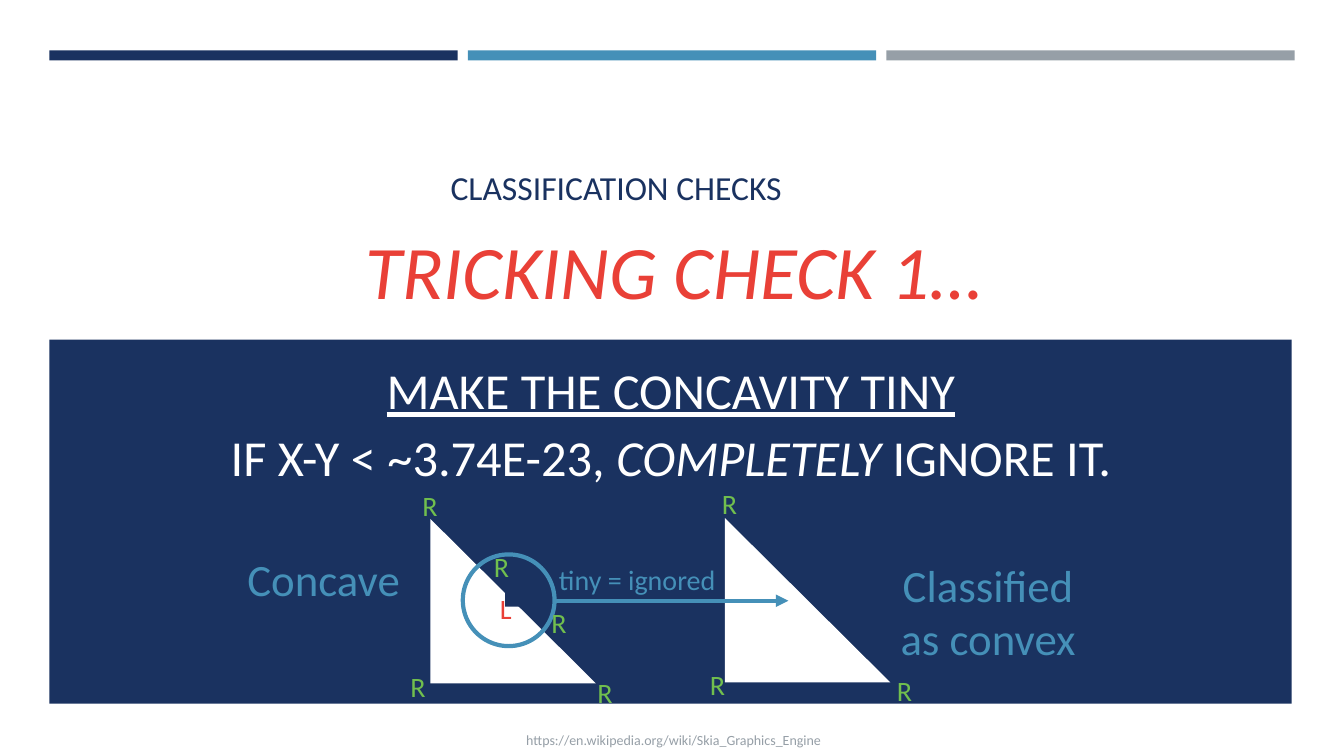
from dataclasses import dataclass

from lxml import etree
from pptx import Presentation
from pptx.dml.color import RGBColor
from pptx.enum import shapes, text
from pptx.oxml import ns
from pptx.util import Inches, Pt

NAVY, BLUE, GRAY = "1A3260", "4590B8", "969FA7"
RED, GREEN, WHITE = "E94037", "71BF4E", "FFFFFF"
SHAPE = shapes.MSO_SHAPE
ALIGN = text.PP_ALIGN
ANCHOR = text.MSO_ANCHOR


@dataclass
class Span:
    words: str
    italic: bool = False
    underline: bool = False


@dataclass
class Label:
    left: float
    top: float
    width: float
    height: float
    spans: list[Span]
    size: int
    color: str
    align: ALIGN = ALIGN.CENTER
    anchor: ANCHOR = ANCHOR.TOP


@dataclass
class Block:
    left: float
    top: float
    width: float
    height: float
    color: str
    kind: SHAPE = SHAPE.RECTANGLE


@dataclass
class Vertex:
    left: float
    top: float
    width: float
    letter: str = "R"
    color: str = GREEN


def rgb(value: str) -> RGBColor:
    return RGBColor.from_string(value)


def draw_block(page, block: Block) -> None:
    shape = page.shapes.add_shape(
        block.kind, Inches(block.left), Inches(block.top), Inches(block.width), Inches(block.height))
    shape.shadow.inherit = False
    if block.kind == SHAPE.ISOSCELES_TRIANGLE:
        shape.adjustments[0] = 0
    if block.kind == SHAPE.OVAL:
        shape.fill.background()
        shape.line.color.rgb = rgb(block.color)
        shape.line.width = Pt(3)
    else:
        shape.fill.solid()
        shape.fill.fore_color.rgb = rgb(block.color)
        shape.line.fill.background()


def draw_label(page, label: Label) -> None:
    box = page.shapes.add_textbox(
        Inches(label.left), Inches(label.top), Inches(label.width), Inches(label.height))
    frame = box.text_frame
    frame.word_wrap = True
    frame.vertical_anchor = label.anchor
    para = frame.paragraphs[0]
    para.alignment = label.align
    para.font.name = "Calibri"
    para.font.size = Pt(label.size)
    para.font.color.rgb = rgb(label.color)
    for part in label.spans:
        span = para.add_run()
        span.text = part.words
        if part.italic:
            span.font.italic = True
        if part.underline:
            span.font.underline = True


def draw_vertex(page, vertex: Vertex) -> None:
    draw_label(page, Label(vertex.left, vertex.top, vertex.width, 0.44,
                           [Span(vertex.letter)], 20, vertex.color))


def draw_arrow(page, start: float, end: float, height: float) -> None:
    arrow = page.shapes.add_connector(
        shapes.MSO_CONNECTOR.STRAIGHT, Inches(start), Inches(height), Inches(end), Inches(height))
    arrow.line.color.rgb = rgb(BLUE)
    arrow.line.width = Pt(3)
    etree.SubElement(arrow.line._get_or_add_ln(), ns.qn("a:tailEnd"), type="triangle")
    etree.SubElement(arrow._element.spPr, ns.qn("a:effectLst"))


BLOCKS = [Block(0.49 + 4.15 * i, 0.5, 4.05, 0.1, color)
          for i, color in enumerate((NAVY, BLUE, GRAY))]
BLOCKS += [
    Block(0.49, 3.37, 12.32, 3.61, NAVY),
    Block(4.27, 5.15, 1.64, 1.63, WHITE, SHAPE.ISOSCELES_TRIANGLE),
    Block(5.01, 5.86, 0.16, 0.16, NAVY, SHAPE.ISOSCELES_TRIANGLE),
    Block(7.19, 5.14, 1.64, 1.63, WHITE, SHAPE.ISOSCELES_TRIANGLE),
    Block(4.59, 5.5, 0.91, 0.91, BLUE, SHAPE.OVAL),
]

VERTICES = [
    Vertex(4.8, 5.4, 0.23),
    Vertex(4.86, 5.82, 0.23, "L", RED),
    Vertex(5.37, 5.96, 0.23),
]
for shift, drop in ((0, 0), (2.97, -0.02)):
    VERTICES += [
        Vertex(3.81 + shift, 4.8 + drop, 0.91),
        Vertex(3.69 + shift, 6.59 + drop, 0.91),
        Vertex(5.44 + shift, 6.65 + drop, 1.12),
    ]

LABELS = [
    Label(4.37, 1.08, 7.07, 1.02, [Span("CLASSIFICATION CHECKS")], 24, NAVY,
          ALIGN.LEFT, ANCHOR.BOTTOM),
    Label(2.32, 1.52, 8.74, 1.65, [Span("TRICKING CHECK 1…", italic=True)], 54, RED,
          anchor=ANCHOR.BOTTOM),
    Label(0.52, 3.51, 12.27, 0.67, [Span("MAKE THE CONCAVITY TINY", underline=True)], 36, WHITE),
    Label(0.52, 4.18, 12.27, 0.67,
          [Span("IF X-Y < ~3.74E-23, "), Span("COMPLETELY ", italic=True), Span("IGNORE IT.")],
          36, WHITE),
    Label(2.05, 5.42, 2.32, 0.64, [Span("Concave")], 32, BLUE),
    Label(5.16, 5.53, 2.32, 0.44, [Span("tiny = ignored")], 20, BLUE),
    Label(8.64, 5.48, 2.32, 1.18, [Span("Classified as convex")], 32, BLUE),
    Label(1.67, 7.21, 10.02, 0.27,
          [Span("https://en.wikipedia.org/wiki/Skia_Graphics_Engine")], 10, GRAY),
]


def main() -> None:
    deck = Presentation()
    deck.slide_width, deck.slide_height = Inches(13.33), Inches(7.5)
    page = deck.slides.add_slide(deck.slide_layouts[6])
    for block in BLOCKS:
        draw_block(page, block)
    draw_arrow(page, 5.5, 7.82, 5.96)
    for vertex in VERTICES:
        draw_vertex(page, vertex)
    for label in LABELS:
        draw_label(page, label)
    deck.save("out.pptx")


if __name__ == "__main__":
    main()
